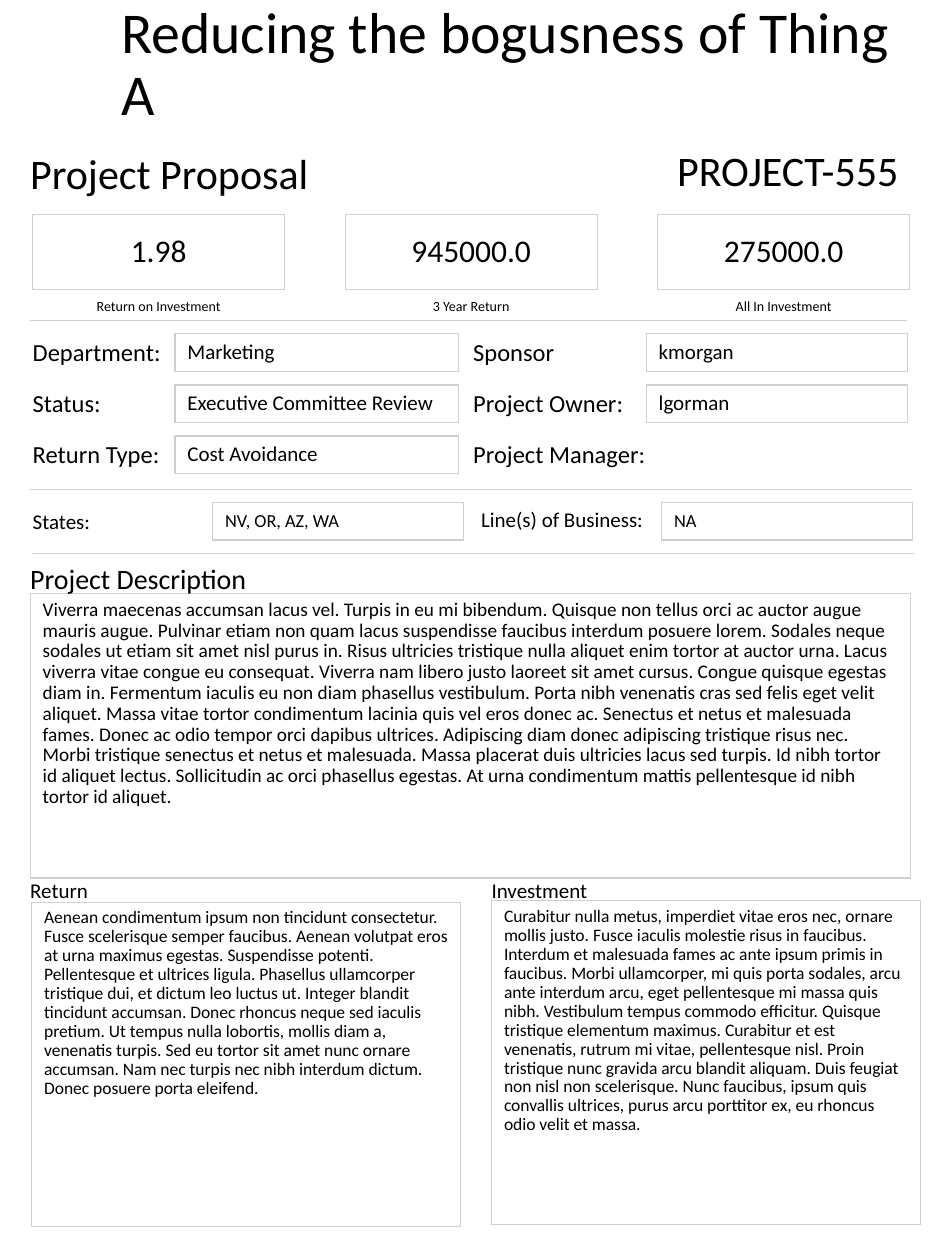
import pptx
import pptx.util
import pptx.dml.color
import pptx.enum.shapes
import pptx.enum.text
import pptx.oxml.ns
import lxml.etree

Cm, Pt = pptx.util.Cm, pptx.util.Pt
ALIGN, ANCHOR = pptx.enum.text.PP_ALIGN, pptx.enum.text.MSO_ANCHOR
BLACK = pptx.dml.color.RGBColor(0x00, 0x00, 0x00)
WHITE = pptx.dml.color.RGBColor(0xFF, 0xFF, 0xFF)
RULE_GREY = pptx.dml.color.RGBColor(0xD0, 0xCE, 0xCE)

HEADLINE = "Reducing the bogusness of Thing A"
PROJECT_ID = "PROJECT-555"
FIGURES = [("1.98", "Return on Investment"), ("945000.0", "3 Year Return"),
           ("275000.0", "All In Investment")]
DETAILS = [
    (0.66, 3.53, 5.72, [("Department:", "Marketing"),
                        ("Status:", "Executive Committee Review"),
                        ("Return Type:", "Cost Avoidance")]),
    (9.54, 13.03, 5.26, [("Sponsor", "kmorgan"), ("Project Owner:", "lgorman"),
                         ("Project Manager:", None)]),
]
SCOPE = [(0.66, 10.26, 4.29, "States:", "NV, OR, AZ, WA"),
         (9.7, 10.21, 13.34, "Line(s) of Business:", "NA")]
DIVIDERS = [(0.61, 18.29, 6.45), (0.61, 18.39, 9.86), (0.64, 18.42, 11.15)]
DESCRIPTION = [
    "Viverra maecenas accumsan lacus vel. Turpis in eu mi bibendum.",
    "Quisque non tellus orci ac auctor augue mauris augue.",
    "Pulvinar etiam non quam lacus suspendisse faucibus interdum posuere lorem.",
    "Sodales neque sodales ut etiam sit amet nisl purus in.",
    "Risus ultricies tristique nulla aliquet enim tortor at auctor urna.",
    "Lacus viverra vitae congue eu consequat.",
    "Viverra nam libero justo laoreet sit amet cursus. Congue quisque egestas diam in.",
    "Fermentum iaculis eu non diam phasellus vestibulum.",
    "Porta nibh venenatis cras sed felis eget velit aliquet.",
    "Massa vitae tortor condimentum lacinia quis vel eros donec ac.",
    "Senectus et netus et malesuada fames. Donec ac odio tempor orci dapibus ultrices.",
    "Adipiscing diam donec adipiscing tristique risus nec.",
    "Morbi tristique senectus et netus et malesuada.",
    "Massa placerat duis ultricies lacus sed turpis. Id nibh tortor id aliquet lectus.",
    "Sollicitudin ac orci phasellus egestas.",
    "At urna condimentum mattis pellentesque id nibh tortor id aliquet.",
]
RETURN = [
    "Aenean condimentum ipsum non tincidunt consectetur.",
    "Fusce scelerisque semper faucibus. Aenean volutpat eros at urna maximus egestas.",
    "Suspendisse potenti. Pellentesque et ultrices ligula.",
    "Phasellus ullamcorper tristique dui, et dictum leo luctus ut.",
    "Integer blandit tincidunt accumsan. Donec rhoncus neque sed iaculis pretium.",
    "Ut tempus nulla lobortis, mollis diam a, venenatis turpis.",
    "Sed eu tortor sit amet nunc ornare accumsan.",
    "Nam nec turpis nec nibh interdum dictum. Donec posuere porta eleifend.",
]
INVESTMENT = [
    "Curabitur nulla metus, imperdiet vitae eros nec, ornare mollis justo.",
    "Fusce iaculis molestie risus in faucibus.",
    "Interdum et malesuada fames ac ante ipsum primis in faucibus.",
    "Morbi ullamcorper, mi quis porta sodales, arcu ante interdum arcu,",
    "eget pellentesque mi massa quis nibh. Vestibulum tempus commodo efficitur.",
    "Quisque tristique elementum maximus.",
    "Curabitur et est venenatis, rutrum mi vitae, pellentesque nisl.",
    "Proin tristique nunc gravida arcu blandit aliquam.",
    "Duis feugiat non nisl non scelerisque.",
    "Nunc faucibus, ipsum quis convallis ultrices, purus arcu porttitor ex,",
    "eu rhoncus odio velit et massa.",
]
SECTIONS = [
    (1, "Project Description", 16, (0.61, 11.33), DESCRIPTION, 11, (0.61, 11.96, 17.75, 5.74)),
    (2, "Return", 12, (0.61, 17.7), RETURN, 10, (0.64, 18.19, 8.64, 6.53)),
    (4, "Investment", 12, (9.91, 17.7), INVESTMENT, 10, (9.91, 18.16, 8.64, 6.53)),
]

proposal = pptx.Presentation()
proposal.slide_width, proposal.slide_height = Cm(19.05), Cm(25.4)
page = proposal.slides.add_slide(proposal.slide_layouts[4])
page.background.fill.solid()
page.background.fill.fore_color.rgb = WHITE


def write(holder, text, size, align=ALIGN.LEFT, anchor=ANCHOR.TOP, insets=(0, 0), spacing=None):
    frame = holder.text_frame
    frame.word_wrap = True
    frame.auto_size = pptx.enum.text.MSO_AUTO_SIZE.NONE
    frame.vertical_anchor = anchor
    frame.margin_left = frame.margin_right = Cm(insets[0])
    frame.margin_top = frame.margin_bottom = Cm(insets[1])
    paragraph = frame.paragraphs[0]
    paragraph.alignment = align
    if spacing:
        paragraph.line_spacing = 0.9
        paragraph.space_before = Pt(spacing)
    run = paragraph.add_run()
    run.text = text
    run.font.name, run.font.size, run.font.bold = "Calibri", Pt(size), False
    run.font.color.rgb = BLACK
    return paragraph


def add_label(text, size, x, y, width, height, align=ALIGN.LEFT):
    write(page.shapes.add_textbox(Cm(x), Cm(y), Cm(width), Cm(height)), text, size, align)


def outline(box):
    box.fill.background()
    box.line.color.rgb = RULE_GREY
    box.line.width = Pt(0.75)


def add_field(text, size, x, y, width, height=0.76, align=ALIGN.LEFT):
    field = page.shapes.add_shape(pptx.enum.shapes.MSO_SHAPE.RECTANGLE,
                                  Cm(x), Cm(y), Cm(width), Cm(height))
    field.shadow.inherit = False
    outline(field)
    write(field, text, size, align, ANCHOR.MIDDLE, (0.25, 0.13), 7.5)


def fill_body(idx, frame, text, size, **style):
    body = page.placeholders[idx]
    body.left, body.top, body.width, body.height = map(Cm, frame)
    properties = write(body, text, size, spacing=7.5, **style)._p.get_or_add_pPr()
    properties.set("marL", "0")
    properties.set("indent", "0")
    lxml.etree.SubElement(properties, pptx.oxml.ns.qn("a:buNone"))
    return body


headline = page.shapes.title
headline.left, headline.top, headline.width, headline.height = map(Cm, (2.44, 0.69, 15.88, 1.27))
write(headline, HEADLINE, 33, anchor=ANCHOR.MIDDLE).line_spacing = 0.9

add_label("Project Proposal", 24, 0.61, 2.97, 8.64, 1.02)
fill_body(3, (9.8, 2.97, 8.56, 1.02), PROJECT_ID, 24,
          align=ALIGN.RIGHT, anchor=ANCHOR.MIDDLE, insets=(0.25, 0))

for column, (figure, caption) in enumerate(FIGURES):
    x = 0.66 + 6.3 * column
    add_field(figure, 18, x, 4.32, 5.08, 1.52, ALIGN.CENTER)
    add_label(caption, 8, x, 6.0, 5.08, 0.4, ALIGN.CENTER)

for label_x, field_x, field_width, entries in DETAILS:
    for row, (label, value) in enumerate(entries):
        y = 6.73 + 1.03 * row
        add_label(label, 14, label_x, y + 0.07, 3.7, 0.61)
        if value:
            add_field(value, 12, field_x, y, field_width)

for label_x, label_y, field_x, label, value in SCOPE:
    add_label(label, 12, label_x, label_y, 3.6, 0.51)
    add_field(value, 10.5, field_x, 10.13, 5.05)

for start, end, y in DIVIDERS:
    divider = page.shapes.add_connector(pptx.enum.shapes.MSO_CONNECTOR.STRAIGHT,
                                        Cm(start), Cm(y), Cm(end), Cm(y))
    divider.line.color.rgb = RULE_GREY
    divider.line.width = Pt(0.5)
    lxml.etree.SubElement(divider._element.spPr, pptx.oxml.ns.qn("a:effectLst"))

for idx, heading, heading_size, heading_at, sentences, size, frame in SECTIONS:
    add_label(heading, heading_size, *heading_at, 8.64, 0.46)
    outline(fill_body(idx, frame, " ".join(sentences), size, insets=(0.25, 0.13)))

proposal.save("out.pptx")
